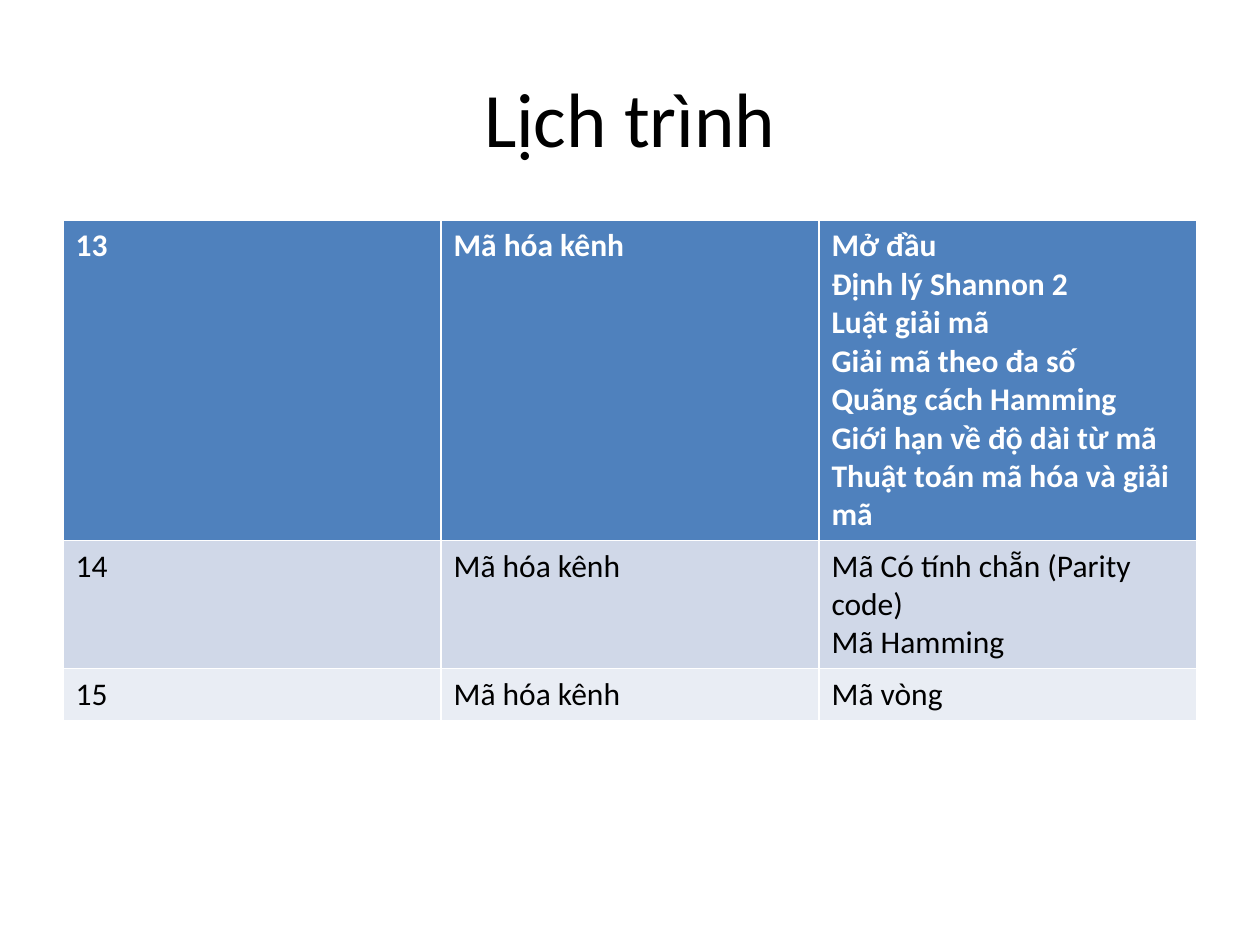
from pptx import Presentation
from pptx.dml.color import RGBColor
from pptx.enum.text import MSO_ANCHOR, PP_ALIGN
from pptx.util import Inches, Pt

CENTER, LEFT = PP_ALIGN.CENTER, PP_ALIGN.LEFT
MIDDLE, TOP = MSO_ANCHOR.MIDDLE, MSO_ANCHOR.TOP
TITLE_ONLY = 5

SCHEDULE = [
    ("13", "Mã hóa kênh", [
        "Mở đầu",
        "Định lý Shannon 2",
        "Luật giải mã",
        "Giải mã theo đa số",
        "Quãng cách Hamming",
        "Giới hạn về độ dài từ mã",
        "Thuật toán mã hóa và giải mã",
    ]),
    ("14", "Mã hóa kênh", ["Mã Có tính chẵn (Parity code)", "Mã Hamming"]),
    ("15", "Mã hóa kênh", ["Mã vòng"]),
]


def color(hex_string):
    return RGBColor.from_string(hex_string)


def write(frame, text, font="Calibri", size=18, ink="000000", bold=False,
          align=LEFT, anchor=TOP):
    frame.word_wrap = True
    frame.vertical_anchor = anchor
    frame.text = text
    for paragraph in frame.paragraphs:
        paragraph.alignment = align
        for run in paragraph.runs:
            run.font.name = font
            run.font.size = Pt(size)
            run.font.bold = bold
            run.font.color.rgb = color(ink)


class ScheduleSlide:
    """Holds the slide and the style of its title and table."""

    header_fill = "4F81BD"
    band_fills = ("D0D8E8", "E9EDF4")
    header_ink = "FFFFFF"

    def __init__(self, deck):
        self.slide = deck.slides.add_slide(deck.slide_layouts[TITLE_ONLY])

    def title(self, text, left, top, width, height):
        heading = self.slide.shapes.title
        heading.left, heading.top = Inches(left), Inches(top)
        heading.width, heading.height = Inches(width), Inches(height)
        write(heading.text_frame, text, size=44, align=CENTER, anchor=MIDDLE)

    def table(self, weeks, left, top, width, row_height):
        schedule = self.slide.shapes.add_table(
            len(weeks), len(weeks[0]), Inches(left), Inches(top),
            Inches(width), Inches(row_height * len(weeks))).table
        for row, (week, subject, topics) in enumerate(weeks):
            is_header = row == 0
            fill = self.header_fill if is_header else self.band_fills[(row - 1) % 2]
            ink = self.header_ink if is_header else "000000"
            for column, text in enumerate((week, subject, "\n".join(topics))):
                cell = schedule.cell(row, column)
                cell.fill.solid()
                cell.fill.fore_color.rgb = color(fill)
                write(cell.text_frame, text, ink=ink, bold=is_header)


def main():
    deck = Presentation()
    deck.slide_width, deck.slide_height = Inches(10), Inches(7.5)
    page = ScheduleSlide(deck)
    page.title("Lịch trình", 0.5, 0.3, 9, 1.25)
    page.table(SCHEDULE, 0.5, 1.75, 9, 0.41)
    deck.save("out.pptx")


if __name__ == "__main__":
    main()
